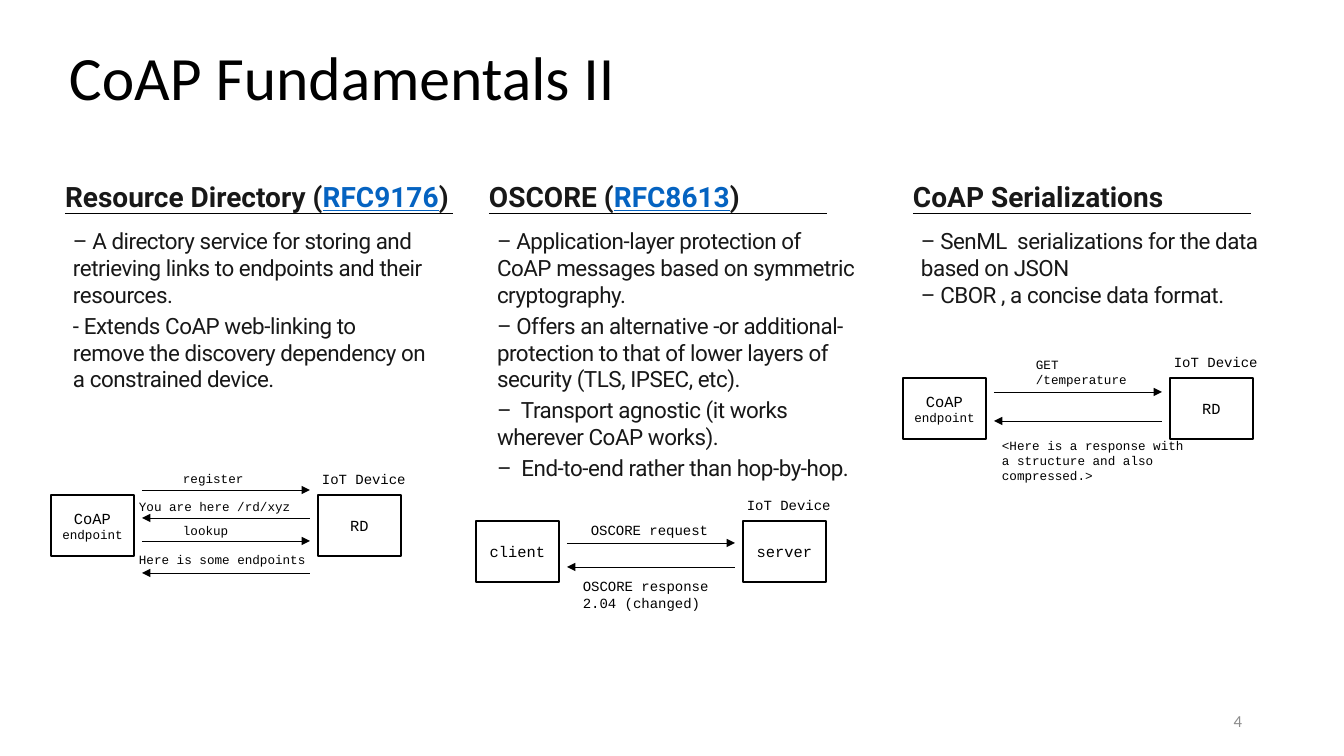
from lxml.etree import SubElement
from pptx import Presentation
from pptx.dml.color import RGBColor
from pptx.enum.shapes import MSO_CONNECTOR as CONNECTOR, MSO_SHAPE as SHAPE
from pptx.enum.text import MSO_ANCHOR as ANCHOR, PP_ALIGN as ALIGN
from pptx.oxml.ns import qn
from pptx.util import Pt

PX = 914400 / 100.8
COLORS = {"black": "000000", "white": "FFFFFF", "ink": "181818",
          "link": "0563C1", "number": "8C8C8C"}
TITLE = "CoAP Fundamentals II"
SLIDE_NUMBER = "4"

COLUMNS = [
    {
        "heading": ["Resource Directory (", "RFC9176", ")"],
        "rule_width": 388, "body_width": 364, "body_height": 160,
        "body": [
            "– A directory service for storing and retrieving links to endpoints and their resources.",
            "- Extends CoAP web-linking to remove the discovery dependency on a constrained device.",
        ],
        "origin": (51, 495),
        "nodes": [["CoAP", " endpoint"], ["RD"]],
        "arrows": [-5, 23, 46, 78],
        "labels": [
            ("register", 122, -29, 118, 25, 9),
            ("You are here /rd/xyz", 78, -1, 204, 25, 9),
            ("lookup", 122, 23, 118, 25, 9),
            ("Here is some endpoints", 78, 52, 216, 25, 9),
        ],
    },
    {
        "heading": ["OSCORE (", "RFC8613", ")"],
        "rule_width": 338, "body_width": 371, "body_height": 220,
        "body": [
            "– Application-layer protection of CoAP messages based on symmetric cryptography.",
            "– Offers an alternative -or additional- protection to that of lower layers of security (TLS, IPSEC, etc).",
            "–  Transport agnostic (it works wherever CoAP works).",
            "–  End-to-end rather than hop-by-hop.",
        ],
        "origin": (476, 521),
        "nodes": [["client"], ["server"]],
        "arrows": [22, 46],
        "labels": [
            ("OSCORE request", 105, -4, 156, 27, 10),
            ("OSCORE response 2.04 (changed)", 97, 52, 182, 44, 10),
        ],
    },
    {
        "heading": ["CoAP Serializations"],
        "rule_width": 338, "body_width": 364, "body_height": 160,
        "body": ["– SenML  serializations for the data based on JSON\v– CBOR , a concise data format."],
        "origin": (903, 378),
        "nodes": [["CoAP", " endpoint"], ["RD"]],
        "arrows": [14, 43],
        "labels": [
            ("GET /temperature", 123, -26, 118, 40, 9),
            ("<Here is a response with a structure and also compressed.>", 89, 55, 204, 56, 9),
        ],
    },
]
DEVICE_LABEL = ("IoT Device", 261, -29, 123, 27, 10)
COLUMN_LEFT, COLUMN_PITCH = 65, 424
HEADING_TOP, RULE_Y, BODY_TOP = 179, 214, 223
NODE_WIDTH, NODE_HEIGHT, NODE_PITCH = 83, 61, 267
ARROW_START, ARROW_END = 91, 259


def px(*lengths):
    return [round(length * PX) for length in lengths]


def rgb(name):
    return RGBColor.from_string(COLORS[name])


def style(font, family, size, color="black", bold=False):
    font.name, font.size, font.bold = family, Pt(size), bold
    font.color.rgb = rgb(color)


def text_frame(left, top, width, height, anchor=ANCHOR.TOP, insets=None):
    frame = slide.shapes.add_textbox(*px(left, top, width, height)).text_frame
    frame.word_wrap = True
    frame.vertical_anchor = anchor
    if insets:
        (frame.margin_left, frame.margin_top,
         frame.margin_right, frame.margin_bottom) = px(*insets)
    return frame


def add_line(start, end, y, width, arrow=False):
    line = slide.shapes.add_connector(CONNECTOR.STRAIGHT, *px(start, y, end, y))
    line.line.color.rgb = rgb("black")
    line.line.width = Pt(width)
    if arrow:
        SubElement(line.line._get_or_add_ln(), qn("a:tailEnd"), type="triangle")
    SubElement(line._element.spPr, qn("a:effectLst"))


def add_heading(left, column):
    width = column["rule_width"]
    frame = text_frame(left, HEADING_TOP, width, 34, ANCHOR.BOTTOM, (0, 0, 0, 0))
    heading = frame.paragraphs[0]
    style(heading.font, "Roboto", 20, "ink", True)
    for part in column["heading"]:
        run = heading.add_run()
        run.text = part
        if part.startswith("RFC"):
            run.font.color.rgb = rgb("link")
            run.font.underline = True
    add_line(left, left + width, RULE_Y, 0.75)


def add_body(left, column):
    frame = text_frame(left, BODY_TOP, column["body_width"], column["body_height"],
                       insets=(8, 4, 0, 8))
    for index, point in enumerate(column["body"]):
        paragraph = frame.add_paragraph() if index else frame.paragraphs[0]
        paragraph.text = point
        if index:
            paragraph.space_before = Pt(3)
        style(paragraph.font, "Roboto", 16, "ink")
        paragraph._p.pPr.get_or_add_defRPr().set("spc", "-30")


def add_node(left, top, parts):
    node = slide.shapes.add_shape(SHAPE.RECTANGLE, *px(left, top, NODE_WIDTH, NODE_HEIGHT))
    node.shadow.inherit = False
    node.fill.solid()
    node.fill.fore_color.rgb = rgb("white")
    node.line.color.rgb = rgb("black")
    node.line.width = Pt(1)
    node.text_frame.vertical_anchor = ANCHOR.MIDDLE
    caption = node.text_frame.paragraphs[0]
    caption.alignment = ALIGN.CENTER
    for part, size in zip(parts, (11, 9)):
        run = caption.add_run()
        run.text = part
        style(run.font, "Courier New", size)


def add_diagram(column):
    left, top = column["origin"]
    for index, parts in enumerate(column["nodes"]):
        add_node(left + index * NODE_PITCH, top, parts)
    for index, dy in enumerate(column["arrows"]):
        ends = (ARROW_END, ARROW_START) if index % 2 else (ARROW_START, ARROW_END)
        add_line(left + ends[0], left + ends[1], top + dy, 0.5, arrow=True)
    for words, dx, dy, width, height, size in column["labels"] + [DEVICE_LABEL]:
        label = text_frame(left + dx, top + dy, width, height).paragraphs[0]
        label.text = words
        style(label.font, "Courier New", size)


deck = Presentation()
deck.slide_width, deck.slide_height = px(1344, 756)
slide = deck.slides.add_slide(deck.slide_layouts[6])

title = text_frame(59, 34, 1184, 94, ANCHOR.MIDDLE).paragraphs[0]
title.text = TITLE
title.line_spacing = 0.9
style(title.font, "Calibri", 44)

number = text_frame(950, 701, 302, 40, ANCHOR.MIDDLE).paragraphs[0]
number.text = SLIDE_NUMBER
number.alignment = ALIGN.RIGHT
style(number.font, "Calibri", 12, "number")

for position, column in enumerate(COLUMNS):
    column_left = COLUMN_LEFT + position * COLUMN_PITCH
    add_heading(column_left, column)
    add_body(column_left, column)
    add_diagram(column)

deck.save("out.pptx")
